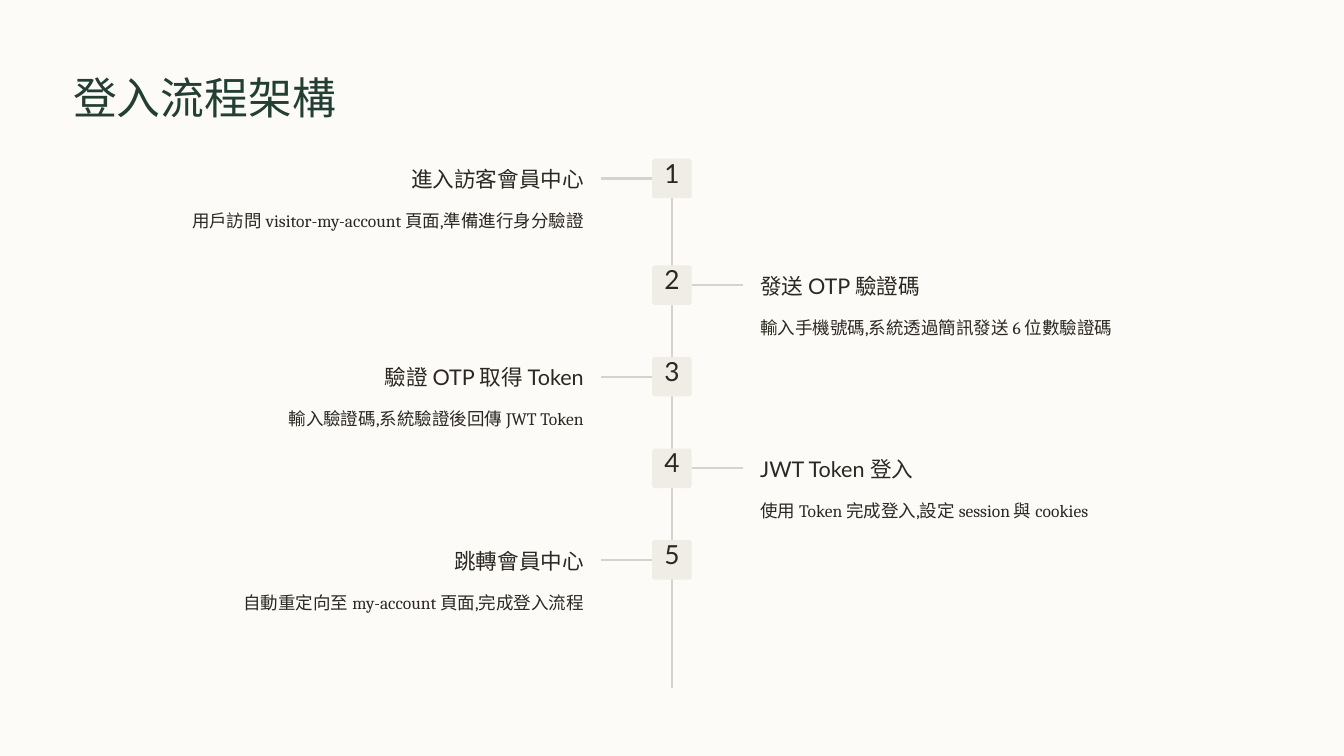
"""Builds the login flow timeline slide on a grid of 16 columns and 9 rows."""
from dataclasses import dataclass

from lxml import etree
from pptx import Presentation, util as u
from pptx.dml.color import RGBColor
from pptx.enum import shapes, text
from pptx.oxml import ns

COLUMNS, ROWS = 16, 9
SLIDE_WIDTH, SLIDE_HEIGHT = u.Inches(16), u.Inches(9)


@dataclass(frozen=True)
class TextStyle:
    font: str
    size: float
    spacing: float
    color: str


@dataclass(frozen=True)
class Theme:
    background: str = "FCFBF8"
    line: str = "D6D3CC"
    badge: str = "F0EDE6"
    line_width: float = 2
    title: TextStyle = TextStyle("Lato", 37.5, 47, "233E32")
    number: TextStyle = TextStyle("Lato", 22.5, 22.5, "2C2821")
    heading: TextStyle = TextStyle("Lato", 18.5, 23.5, "2C2821")
    detail: TextStyle = TextStyle("Cambria", 15, 24, "2C2821")


@dataclass(frozen=True)
class Box:
    left: float
    top: float
    width: float
    height: float

    def lengths(self) -> tuple:
        return column(self.left), row(self.top), column(self.width), row(self.height)


@dataclass(frozen=True)
class Step:
    heading: str
    detail: str


THEME = Theme()
STEPS = (
    Step("進入訪客會員中心", "用戶訪問 visitor-my-account 頁面,準備進行身分驗證"),
    Step("發送 OTP 驗證碼", "輸入手機號碼,系統透過簡訊發送 6 位數驗證碼"),
    Step("驗證 OTP 取得 Token", "輸入驗證碼,系統驗證後回傳 JWT Token"),
    Step("JWT Token 登入", "使用 Token 完成登入,設定 session 與 cookies"),
    Step("跳轉會員中心", "自動重定向至 my-account 頁面,完成登入流程"),
)
CENTER = COLUMNS / 2
TIMELINE_TOP, TIMELINE_BOTTOM = 1.89, 8.19
FIRST_GAP, STEP_GAP = 1.27, 1.09
BADGE_SIZE = 0.47
BRANCH_REACH = 0.84
TEXT_REACH = 1.05
HEADING_WIDTH, DETAIL_WIDTH = 2.64, 6.08


def column(count: float) -> int:
    return round(SLIDE_WIDTH * count / COLUMNS)


def row(count: float) -> int:
    return round(SLIDE_HEIGHT * count / ROWS)


def color(value: str) -> RGBColor:
    return RGBColor.from_string(value)


def write(shape, words: str, style: TextStyle, alignment: text.PP_ALIGN) -> None:
    frame = shape.text_frame
    frame.text = words
    frame.word_wrap = True
    frame.auto_size = text.MSO_AUTO_SIZE.NONE
    frame.vertical_anchor = text.MSO_ANCHOR.TOP
    frame.margin_left = frame.margin_top = frame.margin_right = frame.margin_bottom = 0
    paragraph = frame.paragraphs[0]
    paragraph.alignment = alignment
    paragraph.line_spacing = u.Pt(style.spacing)
    for run in paragraph.runs:
        run.font.name = style.font
        run.font.size = u.Pt(style.size)
        run.font.color.rgb = color(style.color)


def add_text(slide, box: Box, words: str, style: TextStyle, alignment: text.PP_ALIGN) -> None:
    write(slide.shapes.add_textbox(*box.lengths()), words, style, alignment)


def add_line(slide, left: float, top: float, right: float, bottom: float):
    line = slide.shapes.add_connector(
        shapes.MSO_CONNECTOR.STRAIGHT, column(left), row(top), column(right), row(bottom))
    line.line.color.rgb = color(THEME.line)
    line.line.width = u.Pt(THEME.line_width)
    etree.SubElement(line._element.spPr, ns.qn("a:effectLst"))
    return line


def add_badge(slide, top: float):
    box = Box(CENTER - BADGE_SIZE / 2, top, BADGE_SIZE, BADGE_SIZE)
    badge = slide.shapes.add_shape(shapes.MSO_SHAPE.ROUNDED_RECTANGLE, *box.lengths())
    badge.adjustments[0] = 0.07
    badge.shadow.inherit = False
    badge.fill.solid()
    badge.fill.fore_color.rgb = color(THEME.badge)
    badge.line.fill.background()
    return badge


def add_step(slide, index: int, step: Step) -> None:
    top = TIMELINE_TOP + (FIRST_GAP + (index - 1) * STEP_GAP if index else 0)
    on_left = index % 2 == 0
    side = -1 if on_left else 1
    alignment = text.PP_ALIGN.RIGHT if on_left else text.PP_ALIGN.LEFT
    badge = add_badge(slide, top)
    middle = top + BADGE_SIZE / 2
    branch = add_line(slide, CENTER, middle, CENTER + side * BRANCH_REACH, middle)
    branch.begin_connect(badge, 1 if on_left else 3)
    add_text(slide, Box(CENTER - 0.16, top + 0.04, 0.32, 0.4),
             str(index + 1), THEME.number, text.PP_ALIGN.CENTER)
    for words, style, width, offset in (
        (step.heading, THEME.heading, HEADING_WIDTH, 0.07),
        (step.detail, THEME.detail, DETAIL_WIDTH, 0.53),
    ):
        left = CENTER + side * TEXT_REACH - (width if on_left else 0)
        add_text(slide, Box(left, top + offset, width, 0.34), words, style, alignment)


def main() -> None:
    presentation = Presentation()
    presentation.slide_width, presentation.slide_height = SLIDE_WIDTH, SLIDE_HEIGHT
    slide = presentation.slides.add_slide(presentation.slide_layouts[5])
    slide.background.fill.solid()
    slide.background.fill.fore_color.rgb = color(THEME.background)
    title = slide.shapes.title
    title.left, title.top, title.width, title.height = Box(0.87, 0.81, 5.27, 0.66).lengths()
    write(title, "登入流程架構", THEME.title, text.PP_ALIGN.LEFT)
    add_line(slide, CENTER, TIMELINE_TOP, CENTER, TIMELINE_BOTTOM)
    for index, step in enumerate(STEPS):
        add_step(slide, index, step)
    presentation.save("out.pptx")


if __name__ == "__main__":
    main()
